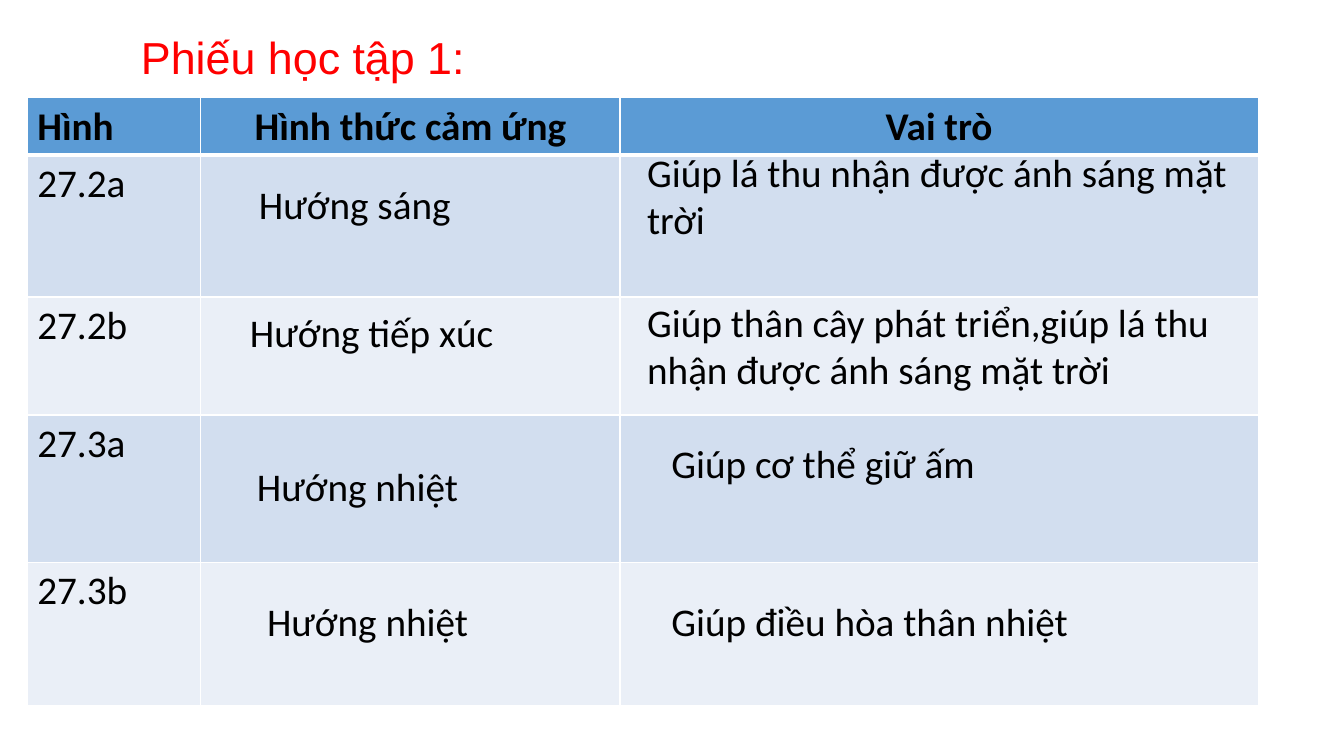
from itertools import accumulate

from lxml import etree
from pptx import Presentation
from pptx import util as u
from pptx.dml.color import RGBColor
from pptx.enum import text
from pptx.oxml.ns import qn

COLORS = {"title": "FF0000", "text": "000000", "header": "5B9BD5",
          "odd": "D2DEEF", "even": "EAEFF7", "border": "FFFFFF"}
COLUMN_WIDTHS = [1.72, 4.16, 6.33]
ROW_HEIGHTS = [0.56, 1.41, 1.17, 1.46, 1.42]
TABLE_LEFT, TABLE_TOP = 0.27, 0.97
column_lefts = list(accumulate(COLUMN_WIDTHS, initial=TABLE_LEFT))
row_tops = list(accumulate(ROW_HEIGHTS, initial=TABLE_TOP))

HEADERS = ["Hình", "Hình thức cảm ứng", "Vai trò"]
FIGURES = ["27.2a", "27.2b", "27.3a", "27.3b"]
# Row, column, offset from the cell's left and top, width, height, wording
ANSWERS = [
    (1, 1, 0.48, 0.21, 5.15, 0.57, "Hướng sáng"),
    (2, 1, 0.39, 0.07, 5.08, 0.57, "Hướng tiếp xúc"),
    (3, 1, 0.46, 0.43, 4.12, 0.57, "Hướng nhiệt"),
    (4, 1, 0.56, 0.31, 3.39, 0.57, "Hướng nhiệt"),
    (1, 2, 0.17, -0.11, 5.95, 1.04, "Giúp lá thu nhận được ánh sáng mặt trời"),
    (2, 2, 0.17, -0.03, 5.95, 1.04,
     "Giúp thân cây phát triển,giúp lá thu nhận được ánh sáng mặt trời"),
    (3, 2, 0.41, 0.2, 5.71, 0.57, "Giúp cơ thể giữ ấm"),
    (4, 2, 0.41, 0.31, 5.15, 0.57, "Giúp điều hòa thân nhiệt"),
]


def add_run(paragraph, wording, size=28, name="Calibri", color="text", bold=False):
    run = paragraph.add_run()
    run.text = wording
    run.font.size = u.Pt(size)
    run.font.name = name
    run.font.bold = bold
    run.font.color.rgb = RGBColor.from_string(COLORS[color])


def set_borders(cell, bottom, top):
    """Draw white borders, 1 pt at the sides and the given points above and below."""
    properties = cell._tc.get_or_add_tcPr()
    for index, (tag, points) in enumerate(
            [("a:lnL", 1), ("a:lnR", 1), ("a:lnT", top), ("a:lnB", bottom)]):
        line = etree.Element(qn(tag), w=str(u.Pt(points)))
        fill = etree.SubElement(line, qn("a:solidFill"))
        etree.SubElement(fill, qn("a:srgbClr"), val=COLORS["border"])
        properties.insert(index, line)


presentation = Presentation()
presentation.slide_width = u.Inches(13.33)
presentation.slide_height = u.Inches(7.5)
slide = presentation.slides.add_slide(presentation.slide_layouts[6])

# Title
title = slide.shapes.add_textbox(u.Inches(1.3), u.Inches(0.24), u.Inches(3.44), u.Inches(0.64))
title.text_frame.word_wrap = False
title.text_frame.auto_size = text.MSO_AUTO_SIZE.SHAPE_TO_FIT_TEXT
title.text_frame.vertical_anchor = text.MSO_ANCHOR.MIDDLE
add_run(title.text_frame.paragraphs[0], "Phiếu học tập 1:", 32, "Arial", "title")

# Worksheet table
table = slide.shapes.add_table(
    len(ROW_HEIGHTS), len(COLUMN_WIDTHS), u.Inches(TABLE_LEFT), u.Inches(TABLE_TOP),
    u.Inches(sum(COLUMN_WIDTHS)), u.Inches(sum(ROW_HEIGHTS))).table
for column, width in zip(table.columns, COLUMN_WIDTHS):
    column.width = u.Inches(width)
for row_index, height in enumerate(ROW_HEIGHTS):
    table.rows[row_index].height = u.Inches(height)
    band = "header" if row_index == 0 else "odd" if row_index % 2 else "even"
    for column_index in range(len(COLUMN_WIDTHS)):
        cell = table.cell(row_index, column_index)
        cell.fill.solid()
        cell.fill.fore_color.rgb = RGBColor.from_string(COLORS[band])
        set_borders(cell, bottom=3 if row_index == 0 else 1, top=3 if row_index == 1 else 1)
        paragraph = cell.text_frame.paragraphs[0]
        if row_index == 0:
            add_run(paragraph, HEADERS[column_index], bold=True)
            if column_index > 0:
                paragraph.alignment = text.PP_ALIGN.CENTER
        elif column_index == 0:
            add_run(paragraph, FIGURES[row_index - 1])

# Answers laid over the empty cells
for row, column, right, down, width, height, wording in ANSWERS:
    answer = slide.shapes.add_textbox(
        u.Inches(column_lefts[column] + right), u.Inches(row_tops[row] + down),
        u.Inches(width), u.Inches(height))
    answer.text_frame.word_wrap = True
    answer.text_frame.auto_size = text.MSO_AUTO_SIZE.SHAPE_TO_FIT_TEXT
    add_run(answer.text_frame.paragraphs[0], wording)

presentation.save("out.pptx")
